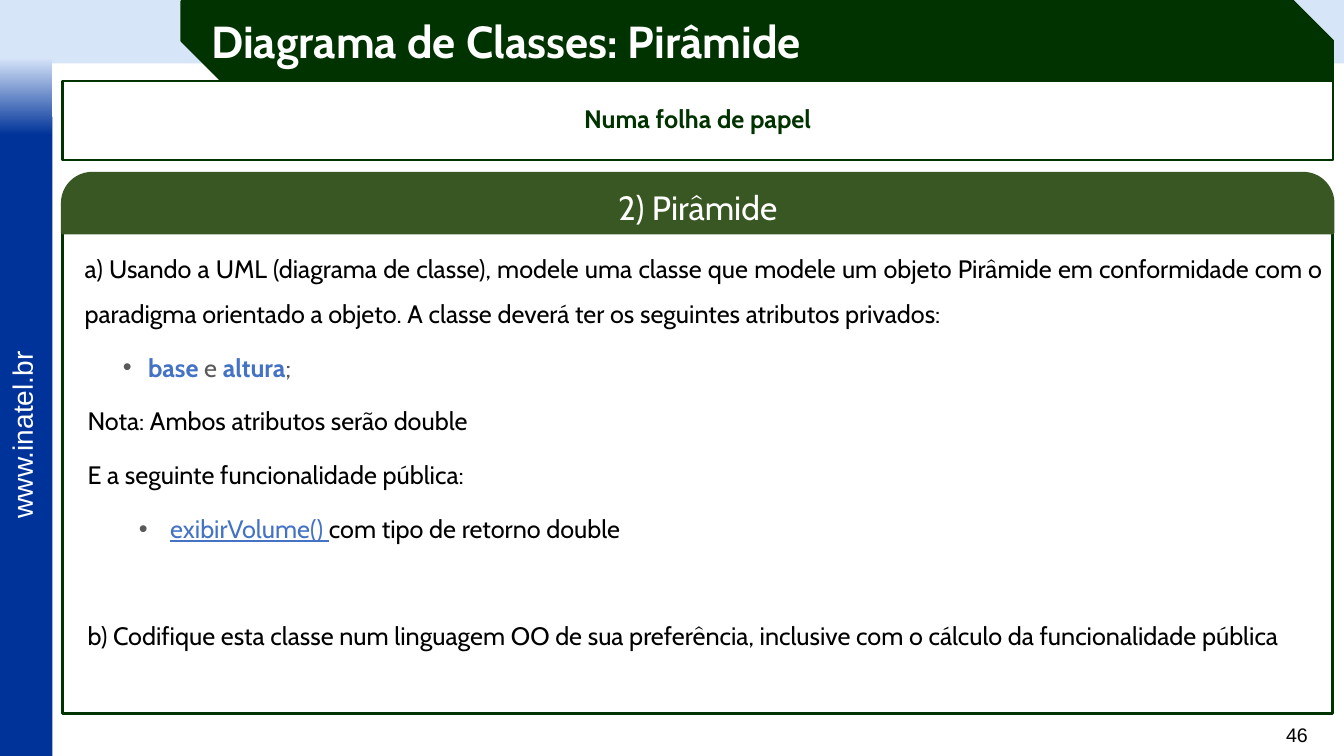
from lxml import etree
from pptx import Presentation
from pptx.dml.color import RGBColor
from pptx.enum.shapes import MSO_SHAPE
from pptx.enum.text import MSO_ANCHOR, PP_ALIGN
from pptx.oxml.ns import qn
from pptx.util import Inches, Pt

RECT = MSO_SHAPE.RECTANGLE
SNIPPED = MSO_SHAPE.SNIP_2_DIAG_RECTANGLE
ROUND_TOP = MSO_SHAPE.ROUND_2_SAME_RECTANGLE
TOP, MIDDLE = MSO_ANCHOR.TOP, MSO_ANCHOR.MIDDLE
LEFT, CENTER, RIGHT, JUSTIFY = PP_ALIGN.LEFT, PP_ALIGN.CENTER, PP_ALIGN.RIGHT, PP_ALIGN.JUSTIFY

WHITE = RGBColor(0xFF, 0xFF, 0xFF)
BLACK = RGBColor(0x00, 0x00, 0x00)
GRAY = RGBColor(0x59, 0x59, 0x59)
PALE_BLUE = RGBColor(0xD7, 0xE5, 0xF9)
NAVY = RGBColor(0x00, 0x33, 0x99)
ACCENT_BLUE = RGBColor(0x44, 0x72, 0xC4)
DARK_GREEN = RGBColor(0x00, 0x33, 0x00)
OLIVE = RGBColor(0x38, 0x57, 0x23)

TITLE = "Diagrama de Classes: Pirâmide"
INSTRUCTION = "Numa folha de papel"
EXERCISE = "2) Pirâmide"
SITE = "www.inatel.br"
PAGE = "46"

PLAIN = {"color": BLACK}
MUTED = {"color": GRAY}
ATTRIBUTE = {"color": ACCENT_BLUE, "bold": True}
METHOD = {"color": ACCENT_BLUE, "underline": True}

# (margin, hanging indent, space before, runs)
STATEMENT = [
    (0.12, 0, 0, [("a) Usando a UML (diagrama de classe), modele uma classe que modele um objeto "
                   "Pirâmide em conformidade com o paradigma orientado a objeto. A classe deverá "
                   "ter os seguintes atributos privados:", PLAIN)]),
    (0.75, 0.25, 6, [("base", ATTRIBUTE), (" e ", MUTED), ("altura", ATTRIBUTE), (";", MUTED)]),
    (0.15, 0, 6, [("Nota: Ambos atributos serão double", PLAIN)]),
    (0.15, 0, 6, [("E a seguinte funcionalidade pública:", PLAIN)]),
    (0.97, 0.31, 6, [("exibirVolume() ", METHOD), ("com tipo de retorno double", PLAIN)]),
    (0.15, 0, 44, [("b) Codifique esta classe num linguagem OO de sua preferência, inclusive "
                    "com o cálculo da funcionalidade pública", PLAIN)]),
]

SLIDE_W, SLIDE_H = 13.33, 7.5
SIDEBAR_W, SIDEBAR_TOP = 0.52, 1.16
FADE_TOP, FADE_H = 0.57, 0.77
PANEL_X, PANEL_W = 0.62, 12.6
TITLE_X, BANNER_H = 1.8, 0.79
EXERCISE_Y, EXERCISE_H = 1.72, 0.59
STATEMENT_Y = EXERCISE_Y + EXERCISE_H
STATEMENT_H = 4.77


def add_panel(slide, kind, box, fill, border=None, weight=0, corners=()):
    panel = slide.shapes.add_shape(kind, *map(Inches, box))
    panel.shadow.inherit = False
    panel.fill.solid()
    panel.fill.fore_color.rgb = fill
    if border is None:
        panel.line.fill.background()
    else:
        panel.line.color.rgb = border
        panel.line.width = Pt(weight)
    for index, share in enumerate(corners):
        panel.adjustments[index] = share
    return panel


def write_line(holder, text, size, color, align, font="Cabin", bold=False, anchor=MIDDLE):
    frame = holder.text_frame
    frame.vertical_anchor = anchor
    line = frame.paragraphs[0]
    line.text = text
    line.alignment = align
    line.font.name, line.font.size, line.font.bold = font, Pt(size), bold
    line.font.color.rgb = color
    return line


def add_label(slide, box, text, size, color, align):
    label = slide.shapes.add_textbox(*map(Inches, box))
    label.text_frame.word_wrap = False
    write_line(label, text, size, color, align, "Arial", anchor=TOP)
    return label


def set_indent(paragraph, margin, hanging):
    props = paragraph._p.get_or_add_pPr()
    props.set("marL", str(Inches(margin)))
    props.set("indent", str(-Inches(hanging)))
    if hanging:
        props.set("lvl", "1")
        tint = etree.SubElement(props, qn("a:buClr"))
        etree.SubElement(tint, qn("a:srgbClr")).set("val", str(GRAY))
        etree.SubElement(props, qn("a:buFont")).set("typeface", "Arial")
        etree.SubElement(props, qn("a:buChar")).set("char", "•")


def write_statement(panel):
    frame = panel.text_frame
    frame.word_wrap = True
    frame.vertical_anchor = TOP
    for index, (margin, hanging, before, runs) in enumerate(STATEMENT):
        paragraph = frame.add_paragraph() if index else frame.paragraphs[0]
        set_indent(paragraph, margin, hanging)
        paragraph.alignment = JUSTIFY
        paragraph.line_spacing = 1.5
        paragraph.space_before = Pt(before)
        paragraph.font.name, paragraph.font.size = "Cabin", Pt(18)
        for text, style in runs:
            run = paragraph.add_run()
            run.text = text
            run.font.color.rgb = style["color"]
            run.font.bold = style.get("bold")
            run.font.underline = style.get("underline")


def add_frame(slide):
    add_panel(slide, RECT, (0, 0, SLIDE_W, 0.63), PALE_BLUE)
    add_panel(slide, RECT, (0, SIDEBAR_TOP, SIDEBAR_W, SLIDE_H - SIDEBAR_TOP), NAVY)
    fade = add_panel(slide, RECT, (0, FADE_TOP, SIDEBAR_W, FADE_H), PALE_BLUE)
    fade.fill.gradient()
    fade.fill.gradient_angle = 270
    for stop, color, position in zip(fade.fill.gradient_stops, (PALE_BLUE, NAVY), (0, 1)):
        stop.color.rgb = color
        stop.position = position
    site = add_label(slide, (-0.72, 4.09, 1.87, 0.43), SITE, 20, WHITE, LEFT)
    site.rotation = 270
    add_label(slide, (12.42, 7.12, 0.65, 0.34), PAGE, 14, BLACK, RIGHT)


def main():
    """Build the pyramid class-diagram exercise slide."""
    deck = Presentation()
    deck.slide_width, deck.slide_height = Inches(SLIDE_W), Inches(SLIDE_H)
    slide = deck.slides.add_slide(deck.slide_layouts[6])
    add_frame(slide)

    statement = add_panel(slide, RECT, (PANEL_X, STATEMENT_Y, PANEL_W, STATEMENT_H),
                          WHITE, DARK_GREEN, 2.25)
    write_statement(statement)

    title = add_panel(slide, SNIPPED, (TITLE_X, 0.01, PANEL_X + PANEL_W - TITLE_X, BANNER_H),
                      DARK_GREEN, DARK_GREEN, 1.5, (0, 0.5))
    write_line(title, TITLE, 32, WHITE, LEFT, bold=True)

    instruction = add_panel(slide, RECT, (PANEL_X, 0.8, PANEL_W, BANNER_H),
                            WHITE, DARK_GREEN, 1.5)
    write_line(instruction, INSTRUCTION, 18, DARK_GREEN, CENTER, bold=True).line_spacing = 0.9

    exercise = add_panel(slide, ROUND_TOP, (PANEL_X, EXERCISE_Y, PANEL_W, EXERCISE_H),
                         OLIVE, OLIVE, 2.25, (0.5, 0))
    write_line(exercise, EXERCISE, 24, WHITE, CENTER)

    deck.save("out.pptx")


if __name__ == "__main__":
    main()
